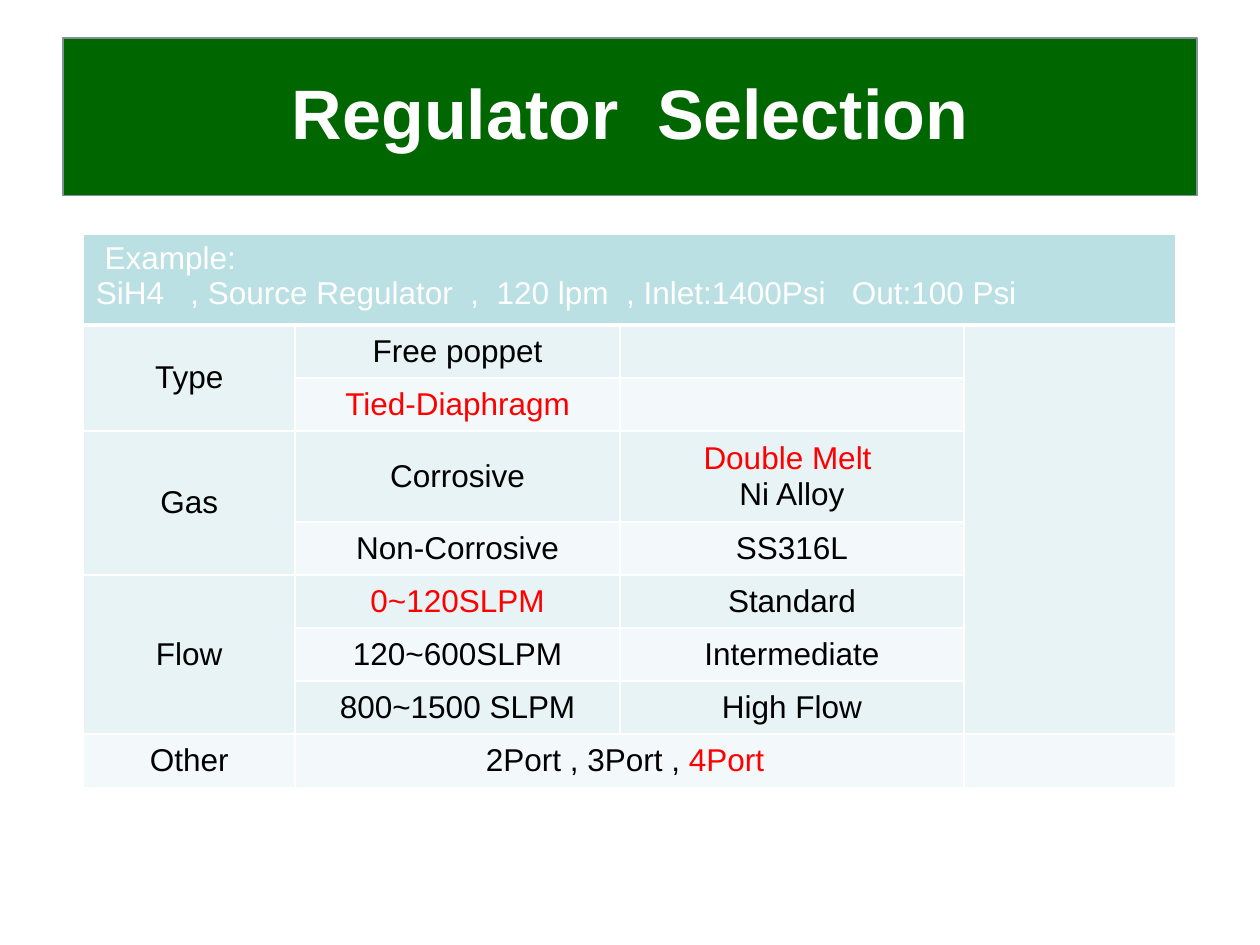
import lxml.etree
import pptx
import pptx.dml.color
import pptx.enum.text
import pptx.oxml.ns
import pptx.util

Cm, Pt = pptx.util.Cm, pptx.util.Pt
RGBColor = pptx.dml.color.RGBColor
PP_ALIGN, MSO_ANCHOR = pptx.enum.text.PP_ALIGN, pptx.enum.text.MSO_ANCHOR

WHITE = RGBColor(0xFF, 0xFF, 0xFF)
BLACK = RGBColor(0x00, 0x00, 0x00)
RED = RGBColor(0xFF, 0x00, 0x00)
GREEN = RGBColor(0x00, 0x66, 0x00)
GREY = RGBColor(0x80, 0x90, 0x98)
HEADER_FILL = RGBColor(0xBB, 0xE0, 0xE3)
BAND_FILLS = [RGBColor(0xF3, 0xF9, 0xFA), RGBColor(0xE7, 0xF3, 0xF4)]

TITLE_FONT = {"name": "Arial", "size": Pt(40), "bold": True}
TABLE_FONT = {"name": "Arial", "size": Pt(18), "bold": False}
COLUMN_WIDTHS = [4.27, 6.55, 6.93, 4.27]
ROW_HEIGHTS = [1.83, 1.07, 1.07, 1.83] + [1.07] * 5
MERGES = [((0, 0), (0, 3)), ((1, 0), (2, 0)), ((3, 0), (4, 0)),
          ((5, 0), (7, 0)), ((1, 3), (7, 3)), ((8, 1), (8, 2))]
# Each cell holds paragraphs, each paragraph holds (text, colour) runs.
CELLS = {
    (0, 0): [[(" Example:", WHITE)],
             [("SiH4   , Source Regulator  ,  120 lpm  , "
               "Inlet:1400Psi   Out:100 Psi", WHITE)]],
    (1, 0): [[("Type", BLACK)]],
    (1, 1): [[("Free poppet", BLACK)]],
    (2, 1): [[("Tied-Diaphragm", RED)]],
    (3, 0): [[("Gas", BLACK)]],
    (3, 1): [[("Corrosive", BLACK)]],
    (3, 2): [[("Double Melt ", RED)], [("Ni Alloy", BLACK)]],
    (4, 1): [[("Non-Corrosive", BLACK)]],
    (4, 2): [[("SS316L", BLACK)]],
    (5, 0): [[("Flow", BLACK)]],
    (5, 1): [[("0~120SLPM", RED)]],
    (5, 2): [[("Standard", BLACK)]],
    (6, 1): [[("120~600SLPM", BLACK)]],
    (6, 2): [[("Intermediate", BLACK)]],
    (7, 1): [[("800~1500 SLPM", BLACK)]],
    (7, 2): [[("High Flow", BLACK)]],
    (8, 0): [[("Other", BLACK)]],
    (8, 1): [[("2Port , 3Port , ", BLACK), ("4Port ", RED)]],
}


def add_run(paragraph, text, colour, font_format):
    run = paragraph.add_run()
    run.text = text
    for name, value in font_format.items():
        setattr(run.font, name, value)
    run.font.color.rgb = colour


def add_borders(cell, widths):
    """Draw white borders; widths maps the sides L, R, T, B to points."""
    properties = cell._tc.get_or_add_tcPr()
    for side, width in widths.items():
        line = lxml.etree.SubElement(properties, pptx.oxml.ns.qn(f"a:ln{side}"), w=str(Pt(width)))
        fill = lxml.etree.SubElement(line, pptx.oxml.ns.qn("a:solidFill"))
        lxml.etree.SubElement(fill, pptx.oxml.ns.qn("a:srgbClr"), val=str(WHITE))


presentation = pptx.Presentation()
presentation.slide_width, presentation.slide_height = Cm(25.4), Cm(19.05)
slide = presentation.slides.add_slide(presentation.slide_layouts[5])

# Title banner
title = slide.shapes.title
title_box = {"left": Cm(1.27), "top": Cm(0.76), "width": Cm(22.86), "height": Cm(3.18)}
for name, value in title_box.items():
    setattr(title, name, value)
title.fill.solid()
title.fill.fore_color.rgb = GREEN
title.line.color.rgb = GREY
title.line.width = Pt(1)
title.text_frame.vertical_anchor = MSO_ANCHOR.MIDDLE
paragraph = title.text_frame.paragraphs[0]
paragraph.alignment = PP_ALIGN.CENTER
paragraph.line_spacing = 0.9
add_run(paragraph, "Regulator  Selection", WHITE, TITLE_FONT)

# Selection table
table = slide.shapes.add_table(
    len(ROW_HEIGHTS), len(COLUMN_WIDTHS), Cm(1.68), Cm(4.72),
    Cm(sum(COLUMN_WIDTHS)), Cm(sum(ROW_HEIGHTS))).table
table.first_row = table.horz_banding = False
for column, width in zip(table.columns, COLUMN_WIDTHS):
    column.width = Cm(width)
for row, height in zip(table.rows, ROW_HEIGHTS):
    row.height = Cm(height)
for first, last in MERGES:
    table.cell(*first).merge(table.cell(*last))

for row_index in range(len(ROW_HEIGHTS)):
    is_header = row_index == 0
    for column_index in range(len(COLUMN_WIDTHS)):
        cell = table.cell(row_index, column_index)
        add_borders(cell, {"L": 1, "R": 1, "T": 3 if row_index == 1 else 1,
                           "B": 3 if is_header else 1})
        cell.fill.solid()
        cell.fill.fore_color.rgb = HEADER_FILL if is_header else BAND_FILLS[row_index % 2]
        cell.vertical_anchor = MSO_ANCHOR.TOP if is_header else MSO_ANCHOR.MIDDLE
        for index, runs in enumerate(CELLS.get((row_index, column_index), [])):
            frame = cell.text_frame
            paragraph = frame.add_paragraph() if index else frame.paragraphs[0]
            paragraph.alignment = PP_ALIGN.LEFT if is_header else PP_ALIGN.CENTER
            for text, colour in runs:
                add_run(paragraph, text, colour, TABLE_FONT)

presentation.save("out.pptx")
